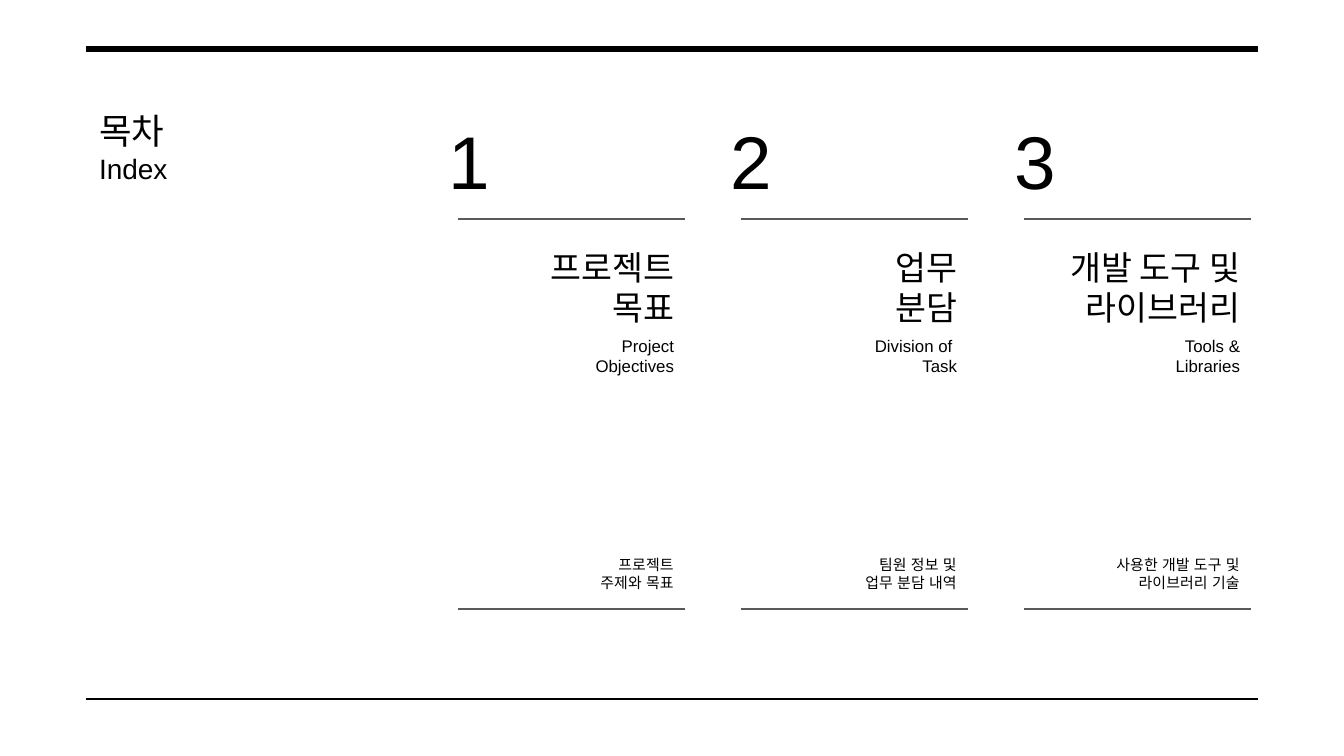
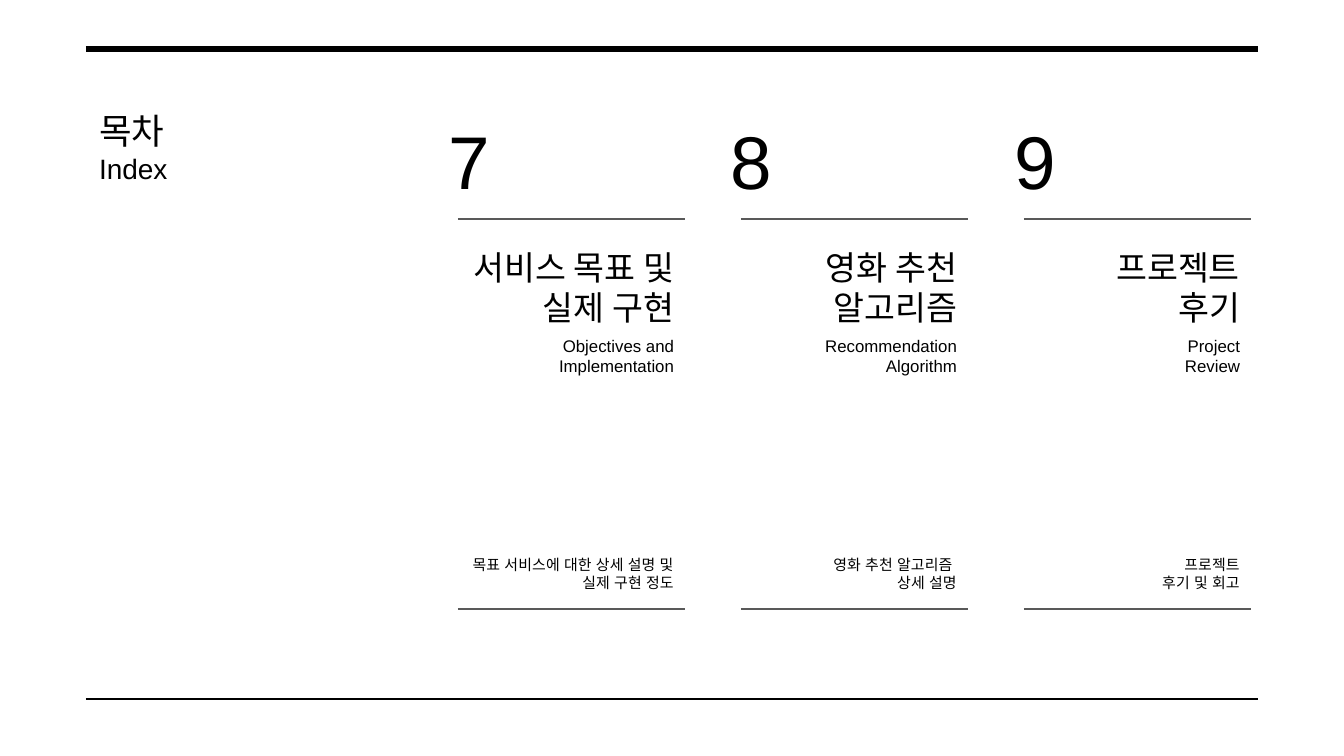
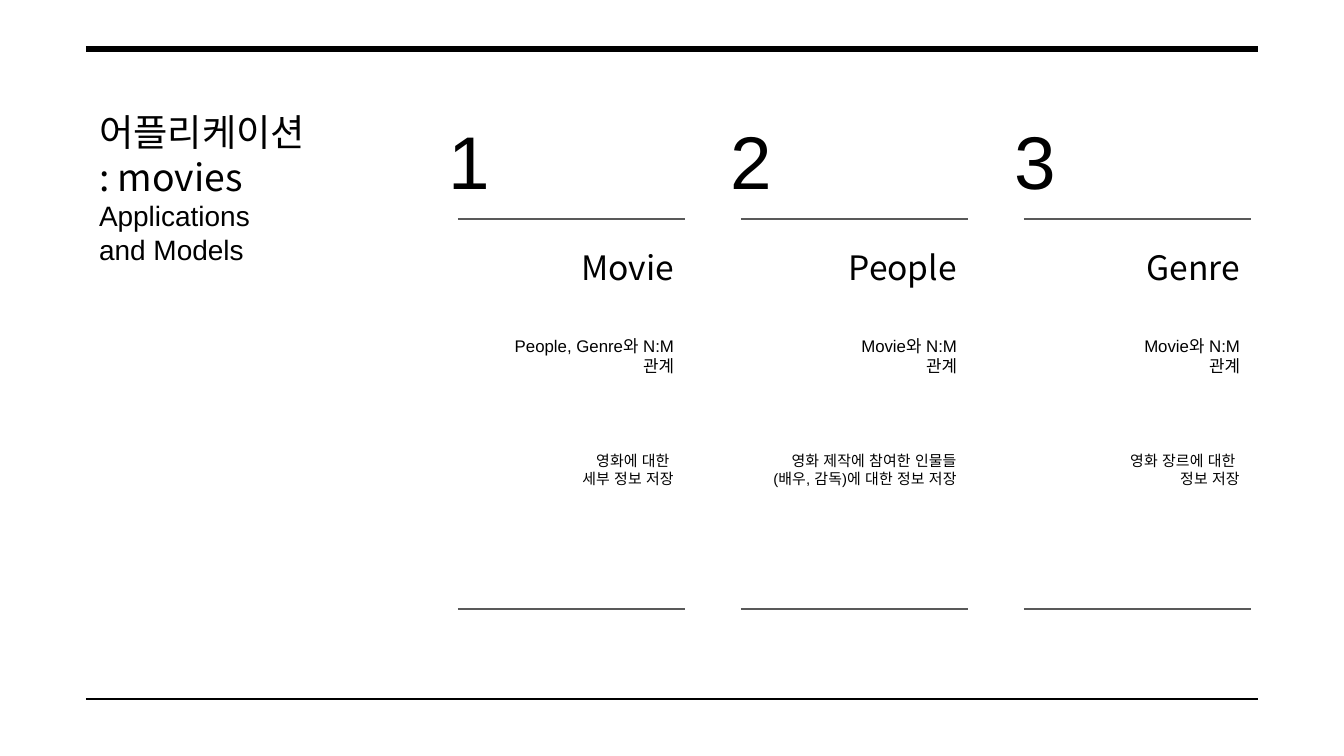
from pptx import Presentation
from pptx.dml.color import RGBColor
from pptx.enum.shapes import MSO_CONNECTOR
from pptx.enum.text import MSO_ANCHOR, MSO_AUTO_SIZE, PP_ALIGN
from pptx.oxml.ns import qn
from pptx.util import Pt
from lxml.etree import SubElement

# Shared scale, colours and fonts
WIDTH, HEIGHT = 1344, 756
EMU_PER_PX = 9144000 / WIDTH
BLACK, GRAY = "000000", "595959"
HANGUL, LATIN = "Noto Sans CJK KR", "Arial"
LEADING = 1.2
INSET = 13

# Column grid
COLUMN_LEFT, COLUMN_STEP = 458, 283
RULE_WIDTH, TEXT_RIGHT = 227, 229
NARROW, WIDE = 148, 222

# Slides: title, English title, title size, description top, columns.
# Column: number, (heading, width), (subheading, width), (description, width)
SLIDES = [
    ("목차", "Index", 19, 543, [
        ("1", ("프로젝트 목표", 187), ("Project\nObjectives", NARROW),
         ("프로젝트\n주제와 목표", WIDE)),
        ("2", ("업무 분담", NARROW), ("Division of \nTask", NARROW),
         ("팀원 정보 및\n업무 분담 내역", WIDE)),
        ("3", ("개발 도구 및\n라이브러리", 227), ("Tools &\nLibraries", NARROW),
         ("사용한 개발 도구 및\n라이브러리 기술", WIDE)),
    ]),
    ("목차", "Index", 19, 543, [
        ("7", ("서비스 목표 및\n실제 구현", 239),
         ("Objectives and Implementation", NARROW),
         ("목표 서비스에 대한 상세 설명 및 실제 구현 정도", 229)),
        ("8", ("영화 추천\n알고리즘", WIDE), ("Recommendation Algorithm", 203),
         ("영화 추천 알고리즘 \n상세 설명", WIDE)),
        ("9", ("프로젝트\n후기", 227), ("Project\nReview", NARROW),
         ("프로젝트\n후기 및 회고", WIDE)),
    ]),
    ("어플리케이션\n: movies", "Applications\nand Models", 20, 439, [
        ("1", ("Movie", NARROW), ("People, Genre와 N:M관계", 202),
         ("영화에 대한 \n세부 정보 저장", WIDE)),
        ("2", ("People", NARROW), ("Movie와 N:M관계", NARROW),
         ("영화 제작에 참여한 인물들(배우, 감독)에 대한 정보 저장", WIDE)),
        ("3", ("Genre", NARROW), ("Movie와 N:M관계", NARROW),
         ("영화 장르에 대한 \n정보 저장", WIDE)),
    ]),
]


def px(length):
    return round(length * EMU_PER_PX)


def color(value):
    return RGBColor.from_string(value)


def write(frame, text, size, font=LATIN, align=PP_ALIGN.LEFT, more=False):
    """Write one paragraph per line; more=True continues after existing text."""
    for index, line in enumerate(text.split("\n")):
        new = more or index > 0
        para = frame.add_paragraph() if new else frame.paragraphs[0]
        para.alignment = align
        para.line_spacing = Pt(round(size * LEADING, 1))
        para.space_before = para.space_after = Pt(0)
        span = para.add_run()
        span.text = line
        span.font.size = Pt(size)
        span.font.name = font
        span.font.color.rgb = color(BLACK)
        SubElement(span.font._element, qn("a:ea"), typeface=font)


def prepare(box, inset_top=INSET):
    frame = box.text_frame
    frame.word_wrap = True
    frame.auto_size = MSO_AUTO_SIZE.NONE
    frame.vertical_anchor = MSO_ANCHOR.TOP
    frame.margin_left = frame.margin_right = frame.margin_bottom = px(INSET)
    frame.margin_top = px(inset_top)
    return frame


def add_text(slide, left, top, width, height, text, size,
             inset_top=INSET, **style):
    box = slide.shapes.add_textbox(px(left), px(top), px(width), px(height))
    write(prepare(box, inset_top), text, size, **style)


def add_rule(slide, left, right, y, shade, weight):
    rule = slide.shapes.add_connector(
        MSO_CONNECTOR.STRAIGHT, px(left), px(y), px(right), px(y))
    rule.line.color.rgb = color(shade)
    rule.line.width = Pt(weight)
    SubElement(rule._element.spPr, qn("a:effectLst"))


def add_title(slide, title, subtitle, size):
    box = slide.shapes.title
    box.left, box.top, box.width, box.height = map(px, (86, 94, 362, 149))
    frame = prepare(box, inset_top=15)
    write(frame, title, size, font=HANGUL)
    write(frame, subtitle, 15, more=True)


def add_column(slide, left, description_top, number, *texts):
    add_text(slide, left - 23, 102, 103, 132, number, 40)
    # Heading, subheading and description share a right edge
    formats = [
        (230, 75, 18, {"font": HANGUL, "inset_top": 17}),
        (323, 65, 9, {}),
        (description_top, 207, 8, {}),
    ]
    for (text, width), (top, height, size, style) in zip(texts, formats):
        add_text(slide, left + TEXT_RIGHT - width, top, width, height,
                 text, size, align=PP_ALIGN.RIGHT, **style)
    for y in (219, 609):
        add_rule(slide, left, left + RULE_WIDTH, y, GRAY, 0.75)


def main():
    deck = Presentation()
    deck.slide_width, deck.slide_height = px(WIDTH), px(HEIGHT)
    title_only = deck.slide_layouts[5]
    for title, subtitle, size, description_top, columns in SLIDES:
        slide = deck.slides.add_slide(title_only)
        # Frame lines
        add_rule(slide, 86, 1258, 699, BLACK, 0.75)
        add_rule(slide, 86, 1258, 49, BLACK, 3)
        add_title(slide, title, subtitle, size)
        for index, column in enumerate(columns):
            left = COLUMN_LEFT + index * COLUMN_STEP
            add_column(slide, left, description_top, *column)
    deck.save("out.pptx")


if __name__ == "__main__":
    main()
